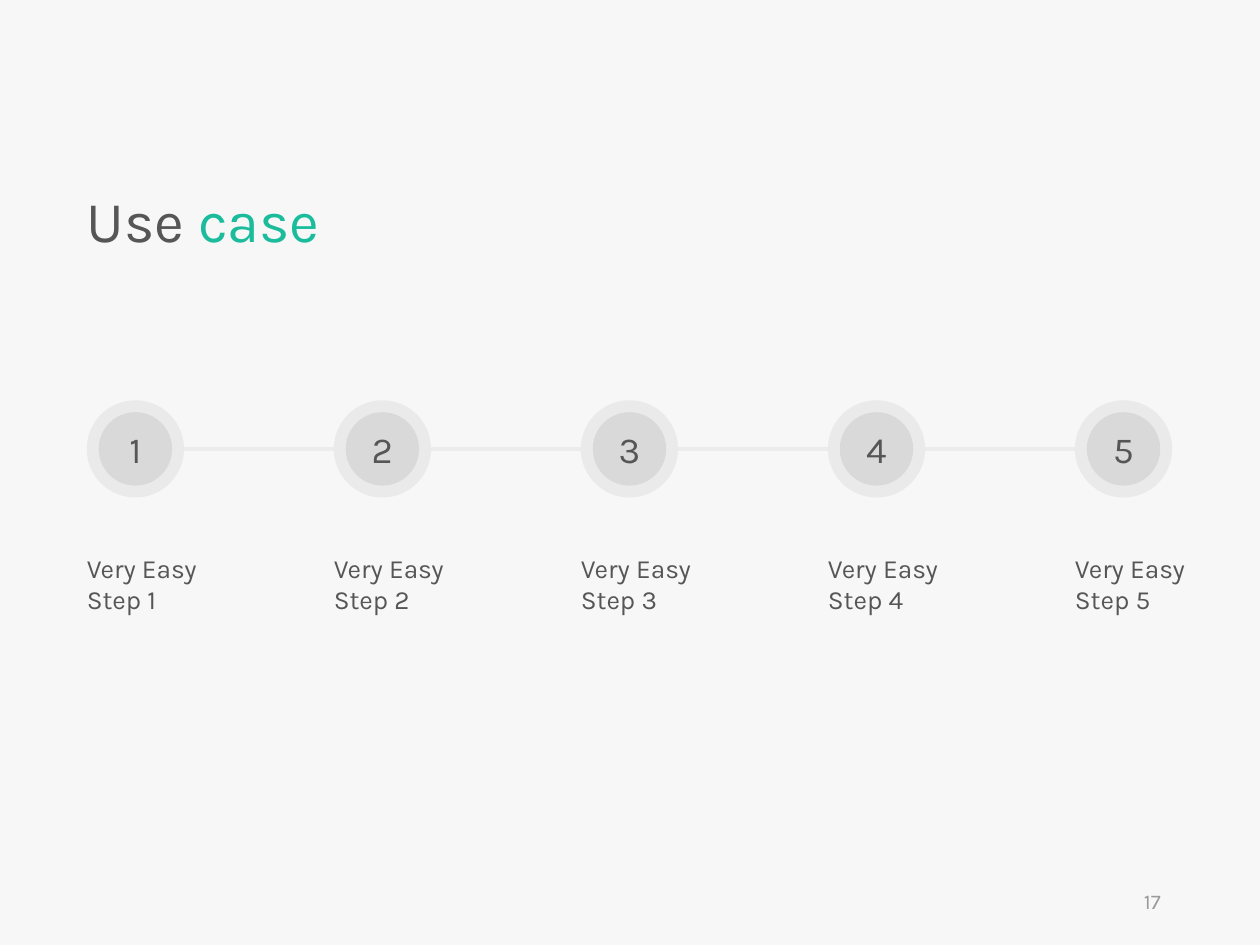
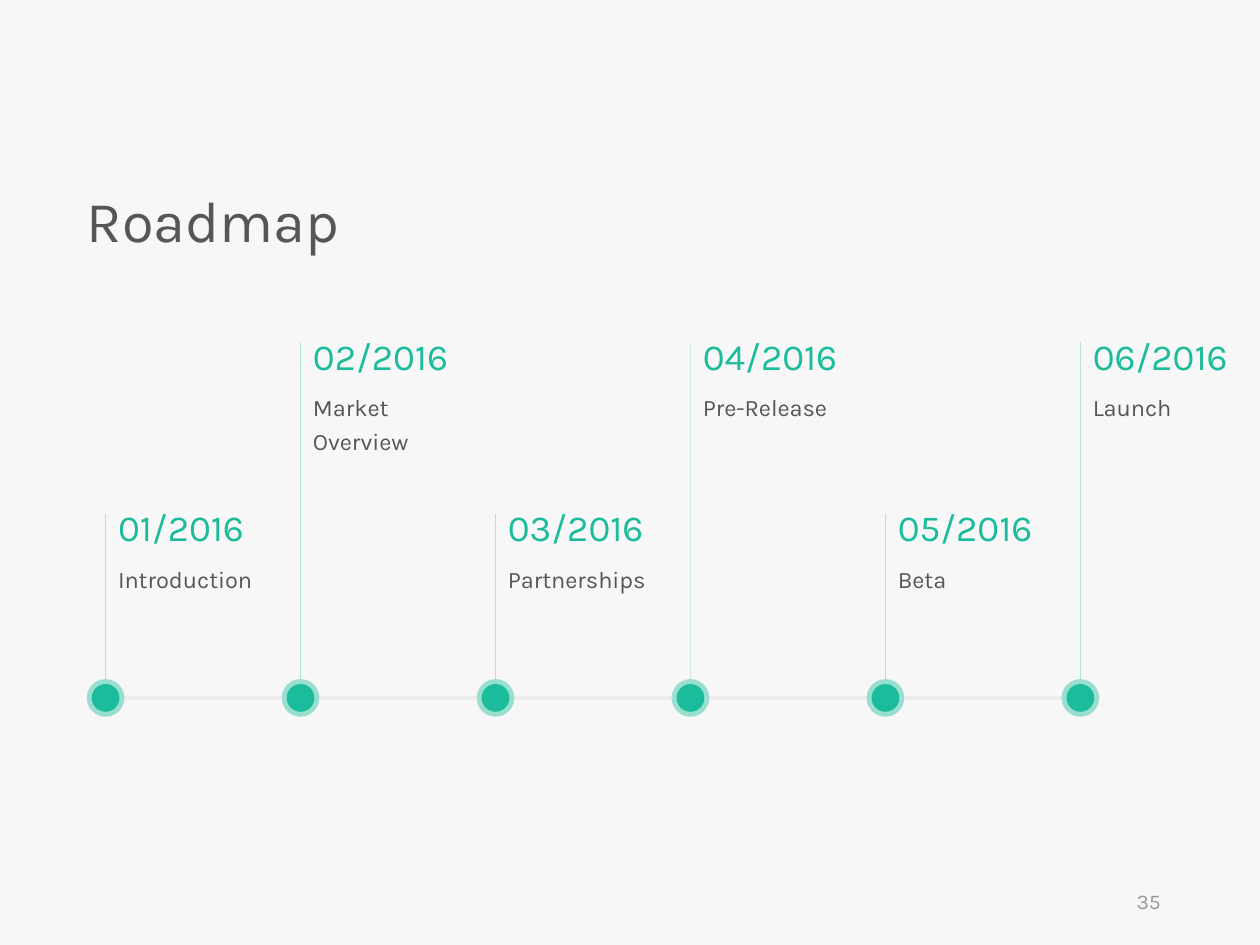
"""Builds two timeline slides: numbered steps of a use case and a dated roadmap."""
from dataclasses import dataclass
from lxml import etree
from pptx import Presentation
from pptx import util as u
from pptx.dml.color import RGBColor
from pptx.enum import shapes, text
from pptx.oxml.ns import qn

USE = {
    "title": [("Use ", "ink"), ("case", "teal")],
    "page": "17",
    "steps": [f"Very Easy Step {n}" for n in range(1, 6)],
}
ROAD = {
    "title": [("Roadmap", "ink")],
    "page": "35",
    "dates": [
        ("01/2016", "Introduction"),
        ("02/2016", "Market Overview"),
        ("03/2016", "Partnerships"),
        ("04/2016", "Pre-Release"),
        ("05/2016", "Beta"),
        ("06/2016", "Launch"),
    ],
}


@dataclass(frozen=True)
class Theme:
    font: str = "Karla"
    back: str = "F7F7F7"
    ink: str = "565656"
    teal: str = "1ABC9C"
    gray: str = "D9D9D9"
    rail: str = "EDECEC"
    mute: str = "9A9A9A"
    head: float = 33
    big: float = 21
    label: float = 15
    note: float = 13.5
    foot: float = 12
    halo: int = 42
    stem: int = 51


T = Theme()
LEFT = 1.75
GROW = {"auto_size": text.MSO_AUTO_SIZE.SHAPE_TO_FIT_TEXT}
FLUSH = GROW | {"margin_left": 0}
MID = {"vertical_anchor": text.MSO_ANCHOR.MIDDLE}


def apply(obj, vals):
    for key, val in vals.items():
        setattr(obj, key, val)


def rgb(name):
    return RGBColor.from_string(getattr(T, name))


def fade(item, pct):
    for color in item.element.spPr.iter(qn("a:srgbClr")):
        etree.SubElement(color, qn("a:alpha"), val=str(pct * 1000))


def write(frame, runs, size, look, para=None):
    apply(frame, {"word_wrap": True} | look)
    line = frame.paragraphs[0]
    apply(line, para or {})
    for words, color in runs:
        run = line.add_run()
        run.text = words
        apply(run.font, {"name": T.font, "size": u.Pt(size)})
        run.font.color.rgb = rgb(color)


def label(slide, area, runs, size, look, para=None):
    box = slide.shapes.add_textbox(*map(u.Cm, area))
    write(box.text_frame, runs, size, look, para)


def rule(slide, start, end, color, width, pct=None):
    line = slide.shapes.add_connector(
        shapes.MSO_CONNECTOR.STRAIGHT, *map(u.Cm, start + end))
    line.line.color.rgb = rgb(color)
    line.line.width = u.Pt(width)
    if pct:
        fade(line, pct)
    etree.SubElement(line.element.spPr, qn("a:effectLst"))


def disc(group, x, y, size, color, pct=None):
    oval = group.shapes.add_shape(
        shapes.MSO_SHAPE.OVAL,
        *map(u.Cm, (x - size / 2, y - size / 2, size, size)))
    oval.shadow.inherit = False
    oval.fill.solid()
    oval.fill.fore_color.rgb = rgb(color)
    oval.line.fill.background()
    if pct:
        fade(oval, pct)
    return oval


def rails(slide, spots, y, size):
    for a, b in zip(spots, spots[1:]):
        rule(slide, (a + size / 2, y), (b - size / 2, y), "rail", 2.25)


def start(deck, data):
    slide = deck.slides.add_slide(deck.slide_layouts[6])
    label(slide, (LEFT, 3.76, 9.35, 1.52), data["title"], T.head, FLUSH,
          {"line_spacing": 0.9})
    label(slide, (17.93, 17.65, 5.72, 1.02), [(data["page"], "mute")], T.foot,
          MID, {"alignment": text.PP_ALIGN.RIGHT})
    return slide


def steps(deck):
    slide = start(deck, USE)
    outer, inner, pitch, y = 1.96, 1.48, 4.98, 9.05
    spots = [LEFT + outer / 2 + i * pitch for i in range(len(USE["steps"]))]
    rails(slide, spots, y, outer)
    for num, (x, words) in enumerate(zip(spots, USE["steps"]), 1):
        group = slide.shapes.add_group_shape()
        disc(group, x, y, inner, "gray")
        ring = disc(group, x, y, outer, "gray", T.halo)
        write(ring.text_frame, [(str(num), "ink")], T.big, MID,
              {"alignment": text.PP_ALIGN.CENTER})
        label(slide, (x - outer / 2, 11, 3.23, 1.55), [(words, "ink")],
              T.label, FLUSH)


def road(deck):
    slide = start(deck, ROAD)
    outer, inner, pitch, y = 0.76, 0.56, 3.93, 14.07
    low, high, wide = 10.06, 6.6, 3.53
    spots = [LEFT + outer / 2 + i * pitch for i in range(len(ROAD["dates"]))]
    rails(slide, spots, y, outer)
    for i, (x, (date, note)) in enumerate(zip(spots, ROAD["dates"])):
        top = high if i % 2 else low
        group = slide.shapes.add_group_shape()
        disc(group, x, y, outer, "teal", T.halo)
        disc(group, x, y, inner, "teal")
        rule(slide, (x, y - outer / 2), (x, top + 0.3), "teal", 0.25, T.stem)
        label(slide, (x, top, wide, 1.14), [(date, "teal")], T.big, GROW)
        label(slide, (x, top + 1.09, wide, 0.89), [(note, "ink")], T.note,
              GROW, {"line_spacing": 1.2})


def main():
    deck = Presentation()
    apply(deck, {"slide_width": u.Cm(25.4), "slide_height": u.Cm(19.05)})
    fill = deck.slide_master.background.fill
    fill.solid()
    fill.fore_color.rgb = rgb("back")
    steps(deck)
    road(deck)
    deck.save("out.pptx")


if __name__ == "__main__":
    main()
